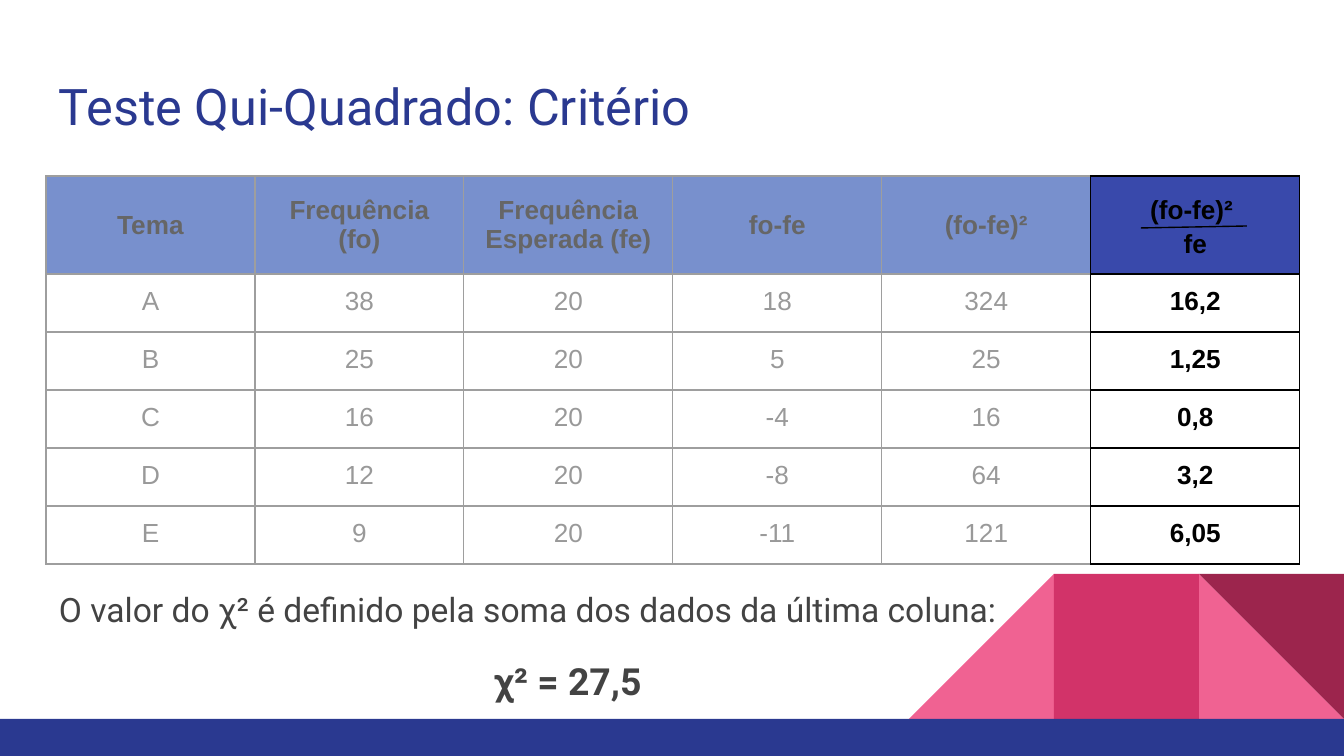
from lxml import etree
from pptx import Presentation
from pptx.dml.color import RGBColor
from pptx.enum.shapes import MSO_CONNECTOR, MSO_SHAPE as SHAPE
from pptx.enum.text import MSO_ANCHOR as ANCHOR, PP_ALIGN as ALIGN
from pptx.oxml.ns import qn
from pptx.util import Emu, Pt

EMU_PER_PX = 914400 / 134.4
COLORS = {
    "navy": "2A3990", "pink": "F06292", "rose": "D23369", "wine": "9C254D",
    "faded_blue": "7890CD", "blue": "3949AB", "grid": "9E9E9E",
    "header_text": "666666", "faded_text": "999999", "body_text": "434343",
    "black": "000000",
}
HEADERS = ["Tema", "Frequência\n(fo)", "Frequência Esperada (fe)",
           "fo-fe", "(fo-fe)²", "(fo-fe)² \nfe"]
ROWS = [
    ["A", "38", "20", "18", "324", "16,2"],
    ["B", "25", "20", "5", "25", "1,25"],
    ["C", "16", "20", "-4", "16", "0,8"],
    ["D", "12", "20", "-8", "64", "3,2"],
    ["E", "9", "20", "-11", "121", "6,05"],
]
COLUMN_WIDTH, HEADER_HEIGHT, ROW_HEIGHT = 209, 69, 58
INSET = 13
TRIANGLE = 145


def px(length):
    return Emu(round(length * EMU_PER_PX))


def rgb(name):
    return RGBColor.from_string(COLORS[name])


def write_paragraph(paragraph, text, size, font, color, bold=False, **layout):
    for key, value in layout.items():
        setattr(paragraph, key, value)
    run = paragraph.add_run()
    run.text = text
    for key, value in {"size": Pt(size), "name": font, "bold": bold}.items():
        setattr(run.font, key, value)
    run.font.color.rgb = rgb(color)


def set_insets(frame):
    for side in ("left", "top", "right", "bottom"):
        setattr(frame, f"margin_{side}", px(INSET))


def add_text_box(slide, box, anchor):
    frame = slide.shapes.add_textbox(*map(px, box)).text_frame
    frame.word_wrap = True
    frame.vertical_anchor = anchor
    set_insets(frame)
    return frame


def add_block(slide, kind, box, color, rotation=0, mirrored=False):
    block = slide.shapes.add_shape(kind, *map(px, box))
    block.shadow.inherit = False
    block.fill.solid()
    block.fill.fore_color.rgb = rgb(color)
    block.line.fill.background()
    block.rotation = rotation
    if mirrored:
        block._element.spPr.find(qn("a:xfrm")).set("flipH", "1")


def add_decoration(slide):
    top = 719 - TRIANGLE
    left, middle, right = (1344 - TRIANGLE * count for count in (3, 2, 1))
    size = (TRIANGLE, TRIANGLE)
    add_block(slide, SHAPE.RIGHT_TRIANGLE, (right, top, *size), "pink")
    add_block(slide, SHAPE.RIGHT_TRIANGLE, (left, top, *size), "pink", mirrored=True)
    add_block(slide, SHAPE.RECTANGLE, (middle, top, *size), "rose")
    add_block(slide, SHAPE.RIGHT_TRIANGLE, (right, top, *size), "wine", rotation=180)
    add_block(slide, SHAPE.RECTANGLE, (0, 719, 1344, 37), "navy")


def set_borders(cell, side_colors):
    properties = cell._tc.get_or_add_tcPr()
    for side, color in side_colors.items():
        border = etree.SubElement(properties, qn(f"a:ln{side}"), w=str(Pt(0.75)))
        fill = etree.SubElement(border, qn("a:solidFill"))
        etree.SubElement(fill, qn("a:srgbClr"), val=COLORS[color])


def fill_cell(cell, text, is_header, column):
    last = len(HEADERS) - 1
    is_result = column == last
    edge = "black" if is_result else "grid"
    right_edge = "black" if column >= last - 1 else "grid"
    set_borders(cell, {"L": edge, "R": right_edge, "T": edge, "B": edge})
    set_insets(cell)
    if is_header:
        cell.vertical_anchor = ANCHOR.MIDDLE
        cell.fill.solid()
        cell.fill.fore_color.rgb = rgb("blue" if is_result else "faded_blue")
    else:
        cell.fill.background()
    faded = "header_text" if is_header else "faded_text"
    color = "black" if is_result else faded
    spacing = 1.15 if is_header and is_result else 1.0
    frame = cell.text_frame
    for index, line in enumerate(text.split("\n")):
        paragraph = frame.add_paragraph() if index else frame.paragraphs[0]
        write_paragraph(paragraph, line, 14, "Arial", color, is_header or is_result,
                        alignment=ALIGN.CENTER, line_spacing=spacing)


def add_frequency_table(slide):
    rows = [HEADERS, *ROWS]
    box = (46, 176, COLUMN_WIDTH * len(HEADERS), HEADER_HEIGHT + ROW_HEIGHT * len(ROWS))
    table = slide.shapes.add_table(len(rows), len(HEADERS), *map(px, box)).table
    table.first_row = table.horz_banding = False
    for column in table.columns:
        column.width = px(COLUMN_WIDTH)
    for r, values in enumerate(rows):
        table.rows[r].height = px(ROW_HEIGHT if r else HEADER_HEIGHT)
        for c, text in enumerate(values):
            fill_cell(table.cell(r, c), text, r == 0, c)


def add_fraction_bar(slide):
    bar = slide.shapes.add_connector(MSO_CONNECTOR.STRAIGHT,
                                     *map(px, (1141, 228, 1247, 226)))
    bar.line.color.rgb = rgb("black")
    bar.line.width = Pt(0.75)
    etree.SubElement(bar._element.spPr, qn("a:effectLst"))


def add_title(slide):
    frame = add_text_box(slide, (46, 60, 1253, 89), ANCHOR.BOTTOM)
    write_paragraph(frame.paragraphs[0], "Teste Qui-Quadrado: Critério",
                    27, "Roboto", "navy")


def add_conclusion(slide):
    frame = add_text_box(slide, (46, 570, 1044, 145), ANCHOR.TOP)
    write_paragraph(frame.paragraphs[0],
                    "O valor do χ² é definido pela soma dos dados da última coluna:",
                    18, "Roboto", "body_text", line_spacing=1.15)
    write_paragraph(frame.add_paragraph(), "χ² = 27,5", 20, "Roboto", "body_text", True,
                    alignment=ALIGN.CENTER, line_spacing=1.15,
                    space_before=Pt(12), space_after=Pt(12))


def main():
    deck = Presentation()
    deck.slide_width, deck.slide_height = px(1344), px(756)
    slide = deck.slides.add_slide(deck.slide_layouts[6])
    add_decoration(slide)
    add_title(slide)
    add_frequency_table(slide)
    add_fraction_bar(slide)
    add_conclusion(slide)
    deck.save("out.pptx")


if __name__ == "__main__":
    main()
